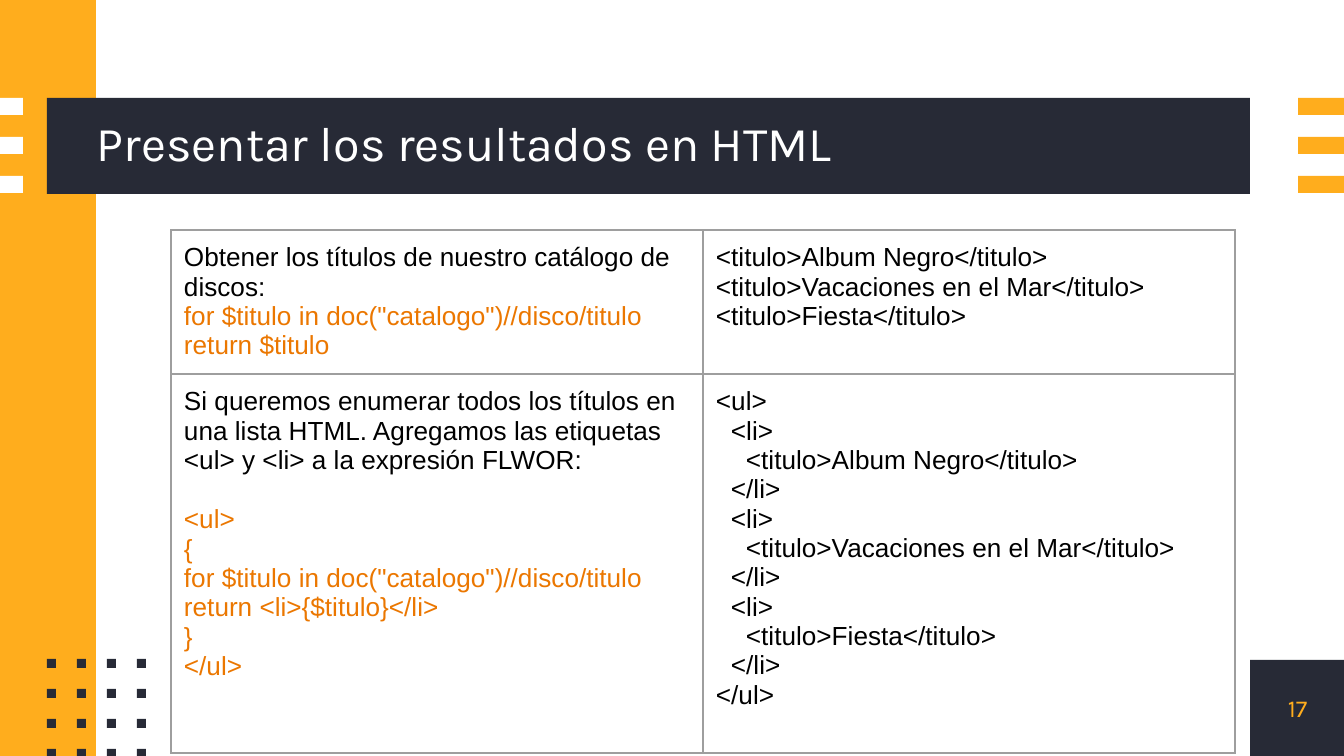
from dataclasses import dataclass

from lxml import etree
from pptx import Presentation
from pptx import util as u
from pptx.dml.color import RGBColor
from pptx.enum import shapes, text
from pptx.oxml import ns

SLIDE_WIDTH, SLIDE_HEIGHT = 1344, 756
EMU_PER_PX = u.Inches(10) / SLIDE_WIDTH

NAVY = RGBColor(0x27, 0x2A, 0x36)
AMBER = RGBColor(0xFF, 0xAD, 0x1D)
ORANGE = RGBColor(0xEB, 0x77, 0x00)
WHITE = RGBColor(0xFF, 0xFF, 0xFF)
BLACK = RGBColor(0x00, 0x00, 0x00)
GRAY = RGBColor(0x9E, 0x9E, 0x9E)

DOT_SIZE, DOT_PITCH = 9, 30
STRIPE_HEIGHT, STRIPE_PITCH = 17, 39
CELL_MARGIN, INDENT = 13, 15
COLUMN_WIDTH = 532
ROW_HEIGHTS = (144, 379)


@dataclass(frozen=True)
class Box:
    left: int
    top: int
    width: int
    height: int


@dataclass(frozen=True)
class Line:
    content: str
    color: RGBColor = BLACK
    level: int = 0
    space_before: int = 0


def px(length: int) -> u.Emu:
    return u.Emu(round(length * EMU_PER_PX))


def emu(box: Box) -> tuple[u.Emu, ...]:
    return px(box.left), px(box.top), px(box.width), px(box.height)


def list_item(title: str) -> list[Line]:
    return [
        Line("<li>", level=1),
        Line(f"<titulo>{title}</titulo>", level=2),
        Line("</li>", level=1),
    ]


ALBUMS = ("Album Negro", "Vacaciones en el Mar", "Fiesta")
QUERY = 'for $titulo in doc("catalogo")//disco/titulo'
CELLS = [
    [
        [
            Line("Obtener los títulos de nuestro catálogo de discos:"),
            Line(QUERY, ORANGE),
            Line("return $titulo", ORANGE),
        ],
        [Line(f"<titulo>{album}</titulo>") for album in ALBUMS],
    ],
    [
        [
            Line(
                "Si queremos enumerar todos los títulos en una lista HTML. "
                "Agregamos las etiquetas <ul> y <li> a la expresión FLWOR:"
            ),
            Line("<ul>", ORANGE, space_before=16),
            Line("{", ORANGE),
            Line(QUERY, ORANGE),
            Line("return <li>{$titulo}</li>", ORANGE),
            Line("}", ORANGE),
            Line("</ul>", ORANGE),
        ],
        [
            Line("<ul>"),
            *(line for album in ALBUMS for line in list_item(album)),
            Line("</ul>"),
        ],
    ],
]

BAR = Box(47, 98, 1203, 96)
TITLE = Box(97, 98, 1153, 96)
NUMBER = Box(1250, 660, 95, 96)
TABLE = Box(171, 230, 2 * COLUMN_WIDTH, sum(ROW_HEIGHTS))
STRIPES = [
    (Box(left, 98 + row * STRIPE_PITCH, width, STRIPE_HEIGHT), color)
    for left, width, color in ((0, 23, WHITE), (1298, 46, AMBER))
    for row in range(3)
]
DOTS = [
    (Box(47 + column * DOT_PITCH, 659 + row * DOT_PITCH, DOT_SIZE, DOT_SIZE), NAVY)
    for row in range(4)
    for column in range(4)
]
DECORATIONS = [
    (NUMBER, NAVY),
    (Box(0, 0, 96, SLIDE_HEIGHT), AMBER),
    (BAR, NAVY),
    *STRIPES,
    *DOTS,
]


def add_rectangle(slide, box: Box, color: RGBColor) -> None:
    shape = slide.shapes.add_shape(shapes.MSO_SHAPE.RECTANGLE, *emu(box))
    shape.shadow.inherit = False
    shape.fill.solid()
    shape.fill.fore_color.rgb = color
    shape.line.fill.background()


def format_label(shape, content: str, size: int, color: RGBColor, alignment) -> None:
    frame = shape.text_frame
    frame.text = content
    frame.word_wrap = True
    frame.auto_size = text.MSO_AUTO_SIZE.NONE
    frame.vertical_anchor = text.MSO_ANCHOR.MIDDLE
    frame.margin_left = frame.margin_right = frame.margin_top = frame.margin_bottom = 0
    paragraph = frame.paragraphs[0]
    paragraph.alignment = alignment
    format_font(paragraph.font, "Karla", size, color)


def format_font(font, name: str, size: int, color: RGBColor) -> None:
    font.name = name
    font.size = u.Pt(size)
    font.color.rgb = color


def add_title(slide, content: str) -> None:
    title = slide.shapes.title
    title.left, title.top, title.width, title.height = emu(TITLE)
    format_label(title, content, 26, WHITE, text.PP_ALIGN.LEFT)
    title.text_frame.paragraphs[0].line_spacing = 0.9
    title.element.getparent().append(title.element)


def add_borders(cell, color: RGBColor) -> None:
    properties = cell._tc.get_or_add_tcPr()
    for side in ("a:lnL", "a:lnR", "a:lnT", "a:lnB"):
        border = etree.SubElement(properties, ns.qn(side), w=str(u.Pt(0.75)))
        fill = etree.SubElement(border, ns.qn("a:solidFill"))
        etree.SubElement(fill, ns.qn("a:srgbClr"), val=str(color))


def fill_cell(cell, lines: list[Line]) -> None:
    add_borders(cell, GRAY)
    cell.fill.background()
    margin = px(CELL_MARGIN)
    cell.margin_left = cell.margin_right = cell.margin_top = cell.margin_bottom = margin
    frame = cell.text_frame
    frame.text = "\n".join(line.content for line in lines)
    for paragraph, line in zip(frame.paragraphs, lines):
        format_font(paragraph.font, "Arial", 14, line.color)
        paragraph.space_before = u.Pt(line.space_before)
        paragraph._p.get_or_add_pPr().set("marL", str(px(line.level * INDENT)))


def add_code_table(slide, rows: list[list[list[Line]]]) -> None:
    table = slide.shapes.add_table(len(rows), len(rows[0]), *emu(TABLE)).table
    table.first_row = table.horz_banding = False
    for column in table.columns:
        column.width = px(COLUMN_WIDTH)
    for row, height, contents in zip(table.rows, ROW_HEIGHTS, rows):
        row.height = px(height)
        for cell, lines in zip(row.cells, contents):
            fill_cell(cell, lines)


def main() -> None:
    presentation = Presentation()
    presentation.slide_width = px(SLIDE_WIDTH)
    presentation.slide_height = px(SLIDE_HEIGHT)
    slide = presentation.slides.add_slide(presentation.slide_layouts[5])
    for box, color in DECORATIONS:
        add_rectangle(slide, box, color)
    add_title(slide, "Presentar los resultados en HTML")
    number = slide.shapes.add_textbox(*emu(NUMBER))
    format_label(number, "17", 13, AMBER, text.PP_ALIGN.CENTER)
    add_code_table(slide, CELLS)
    presentation.save("out.pptx")


if __name__ == "__main__":
    main()
